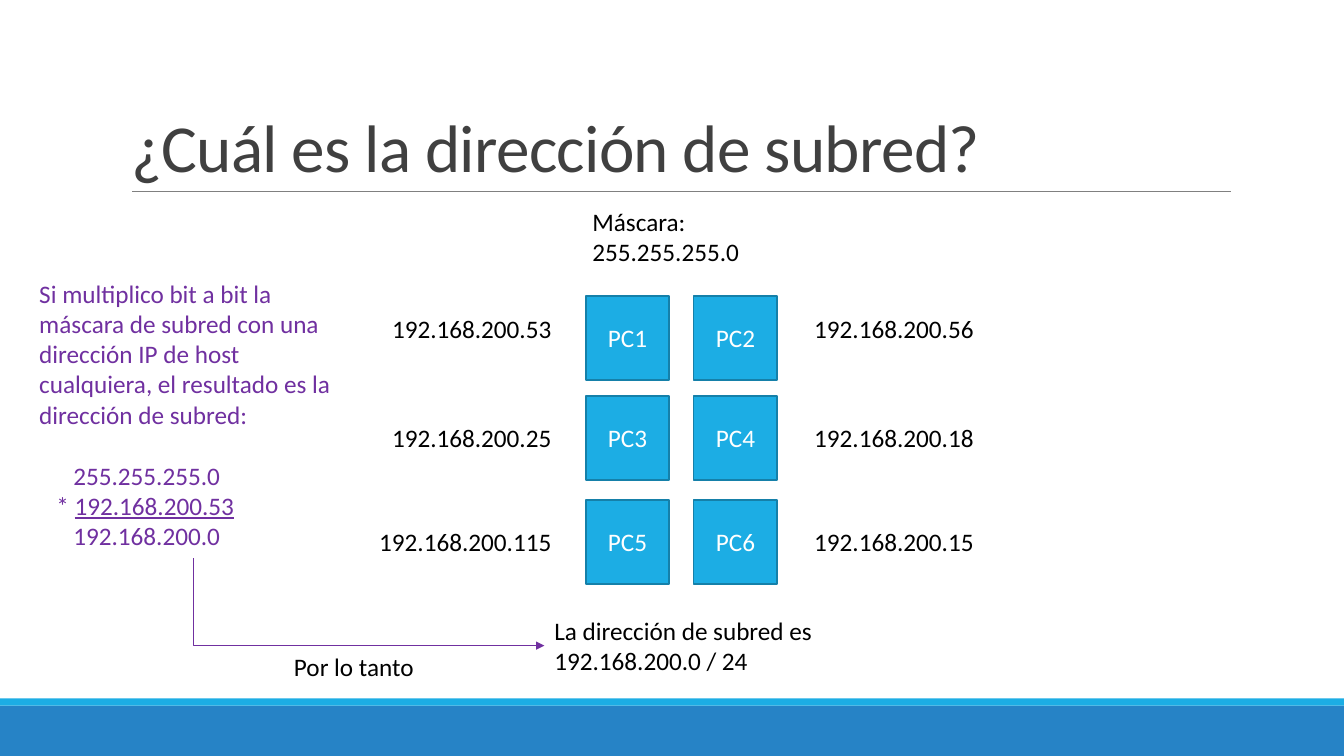
from pptx import Presentation
from pptx.dml.color import RGBColor
from pptx.enum.shapes import MSO_CONNECTOR, MSO_SHAPE
from pptx.enum.text import MSO_ANCHOR, MSO_AUTO_SIZE, PP_ALIGN
from pptx.oxml.ns import qn
from pptx.util import Cm, Pt
from lxml import etree

# Content
TITLE = "¿Cuál es la dirección de subred?"
# Box top, address top, then (PC, address) for the left and right columns
PC_ROWS = [
    (7.46, 7.77, ("PC1", "192.168.200.53"), ("PC2", "192.168.200.56")),
    (9.98, 10.52, ("PC3", "192.168.200.25"), ("PC4", "192.168.200.18")),
    (12.6, 13.13, ("PC5", "192.168.200.115"), ("PC6", "192.168.200.15")),
]
# Box left, address left, address alignment
PC_COLUMNS = [(14.76, 8.0, PP_ALIGN.RIGHT), (17.48, 20.27, PP_ALIGN.LEFT)]
PC_SIZE = 2.11
LABEL_W, LABEL_H = 6.15, 1.03
NOTES = [  # left, top, width, height, lines
    (14.68, 5.08, LABEL_W, 1.8, ["Máscara: 255.255.255.0"]),
    (13.72, 15.37, 7.52, 1.8, ["La dirección de subred es", "192.168.200.0 / 24"]),
    (7.16, 16.28, LABEL_W, LABEL_H, ["Por lo tanto"]),
]
EXPLANATION = ("Si multiplico bit a bit la máscara de subred con una dirección IP "
               "de host cualquiera, el resultado es la dirección de subred:")
# Indent in cm, space before in points, runs as (text, underlined)
PRODUCT = [
    (0, 0, [(EXPLANATION, False)]),
    (0.86, 22, [("255.255.255.0", False)]),
    (0.43, 0, [("* ", False), ("192.168.200.53", True)]),
    (0.86, 0, [("192.168.200.0", False)]),
]
BLUE, DARK_BLUE, EDGE = "1CADE4", "2683C6", "1580A9"
PURPLE, BLACK, WHITE = "7030A0", "000000", "FFFFFF"

prs = Presentation()
prs.slide_width, prs.slide_height = Cm(33.87), Cm(19.05)
slide = prs.slides.add_slide(prs.slide_layouts[5])


def rgb(value):
    return RGBColor.from_string(value)


def style(run, color, size=18):
    run.font.name, run.font.size = "Calibri", Pt(size)
    run.font.color.rgb = rgb(color)


def add_rect(left, top, width, height, fill, edge=None):
    rect = slide.shapes.add_shape(MSO_SHAPE.RECTANGLE, Cm(left), Cm(top), Cm(width), Cm(height))
    rect.shadow.inherit = False
    rect.fill.solid()
    rect.fill.fore_color.rgb = rgb(fill)
    if edge:
        rect.line.color.rgb, rect.line.width = rgb(edge), Pt(1.25)
    else:
        rect.line.fill.background()
    return rect


def add_box(left, top, width, height):
    frame = slide.shapes.add_textbox(Cm(left), Cm(top), Cm(width), Cm(height)).text_frame
    frame.word_wrap = True
    return frame


def write(frame, lines, color=BLACK, align=PP_ALIGN.LEFT):
    for i, line in enumerate(lines):
        paragraph = frame.add_paragraph() if i else frame.paragraphs[0]
        paragraph.alignment = align
        run = paragraph.add_run()
        run.text = line
        style(run, color)


def add_line(kind, x1, y1, x2, y2, color, width):
    line = slide.shapes.add_connector(kind, Cm(x1), Cm(y1), Cm(x2), Cm(y2))
    line.line.color.rgb, line.line.width = rgb(color), Pt(width)
    etree.SubElement(line._element.spPr, qn("a:effectLst"))
    return line


# Bottom bands and title rule
add_rect(0, 17.78, 33.87, 1.27, DARK_BLUE)
add_rect(0, 17.6, 33.87, 0.18, BLUE)
add_line(MSO_CONNECTOR.STRAIGHT, 3.33, 4.82, 31.01, 4.82, "808080", 0.5)

# Title
title = slide.shapes.title
title.left, title.top, title.width, title.height = Cm(3.05), Cm(0.79), Cm(27.94), Cm(4.03)
frame = title.text_frame
frame.auto_size, frame.word_wrap = MSO_AUTO_SIZE.NONE, True
frame.vertical_anchor = MSO_ANCHOR.BOTTOM
frame.text = TITLE
paragraph = frame.paragraphs[0]
paragraph.alignment, paragraph.line_spacing = PP_ALIGN.LEFT, 0.85
style(paragraph.runs[0], "404040", 48)
paragraph.runs[0].font._element.set("spc", "-50")

# Computers and their addresses
for box_top, label_top, *computers in PC_ROWS:
    for (pc, address), (box_left, label_left, align) in zip(computers, PC_COLUMNS):
        box = add_rect(box_left, box_top, PC_SIZE, PC_SIZE, BLUE, EDGE)
        box.text_frame.vertical_anchor = MSO_ANCHOR.MIDDLE
        write(box.text_frame, [pc], WHITE, PP_ALIGN.CENTER)
        write(add_box(label_left, label_top, LABEL_W, LABEL_H), [address], align=align)

# Mask, conclusion and arrow label
for *place, lines in NOTES:
    write(add_box(*place), lines)

# Explanation with the bitwise product
frame = add_box(0.74, 6.88, 8.28, 7.19)
for i, (indent, before, runs) in enumerate(PRODUCT):
    paragraph = frame.add_paragraph() if i else frame.paragraphs[0]
    paragraph.space_before = Pt(before)
    paragraph._p.get_or_add_pPr().set("marL", str(Cm(indent)))
    for text, underlined in runs:
        run = paragraph.add_run()
        run.text = text
        style(run, PURPLE)
        run.font.underline = underlined

# Elbow arrow from the product to the conclusion: down, then right
START_X, START_Y, END_X, END_Y = 4.88, 14.07, 13.72, 16.27
across, down = END_X - START_X, END_Y - START_Y
mid_x, mid_y = (START_X + END_X) / 2, (START_Y + END_Y) / 2
# The frame is placed before its quarter turn, so width and height swap
arrow = add_line(MSO_CONNECTOR.ELBOW, mid_x - down / 2, mid_y - across / 2,
                 mid_x + down / 2, mid_y + across / 2, PURPLE, 1)
properties = arrow._element.spPr
properties.find(qn("a:prstGeom")).set("prst", "bentConnector2")
turn = properties.find(qn("a:xfrm"))
turn.set("rot", str(270 * 60000))
turn.set("flipH", "1")
etree.SubElement(properties.find(qn("a:ln")), qn("a:tailEnd"), type="triangle")

prs.save("out.pptx")
